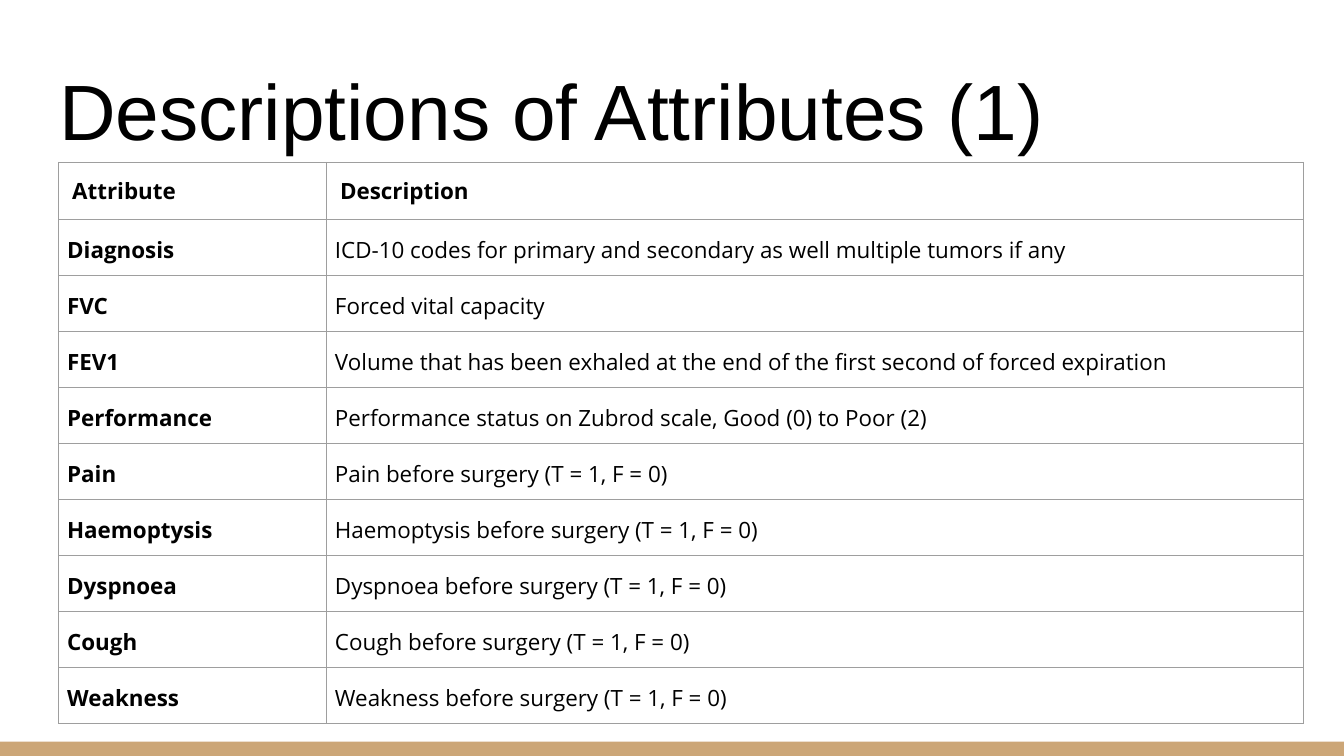
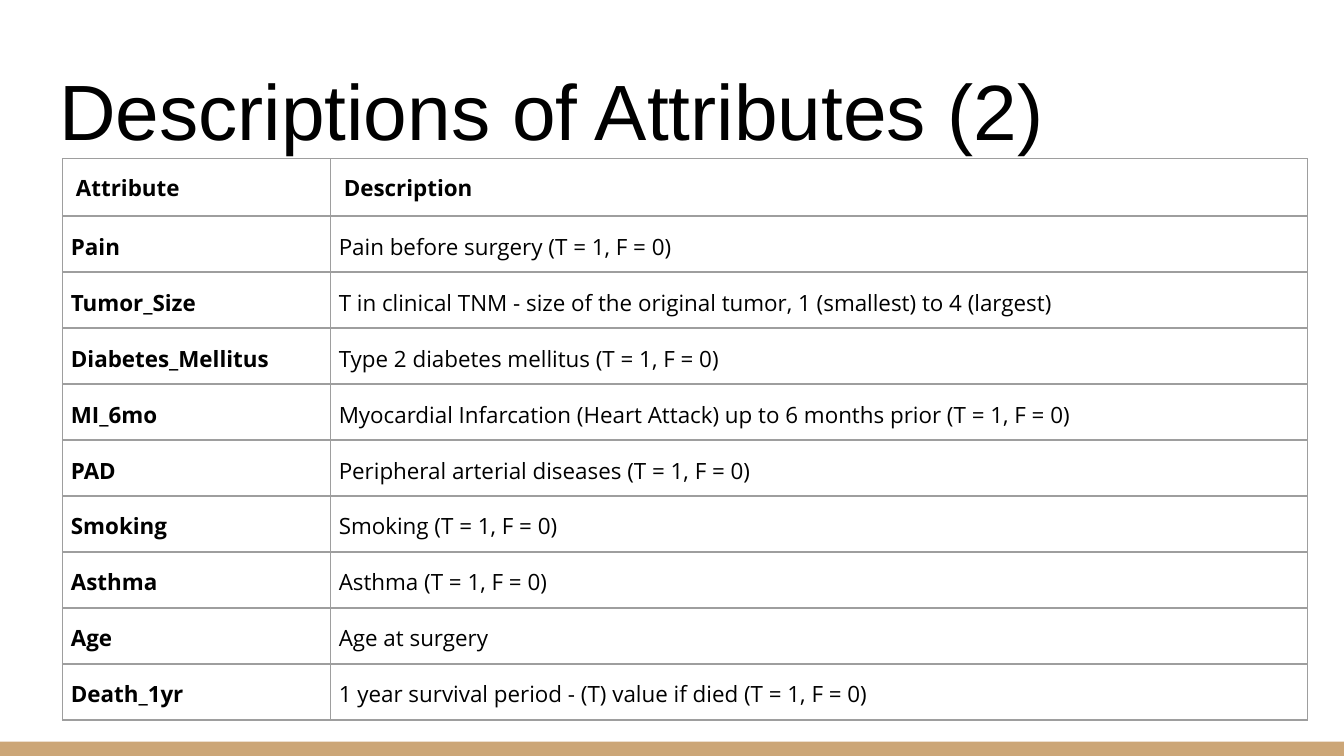
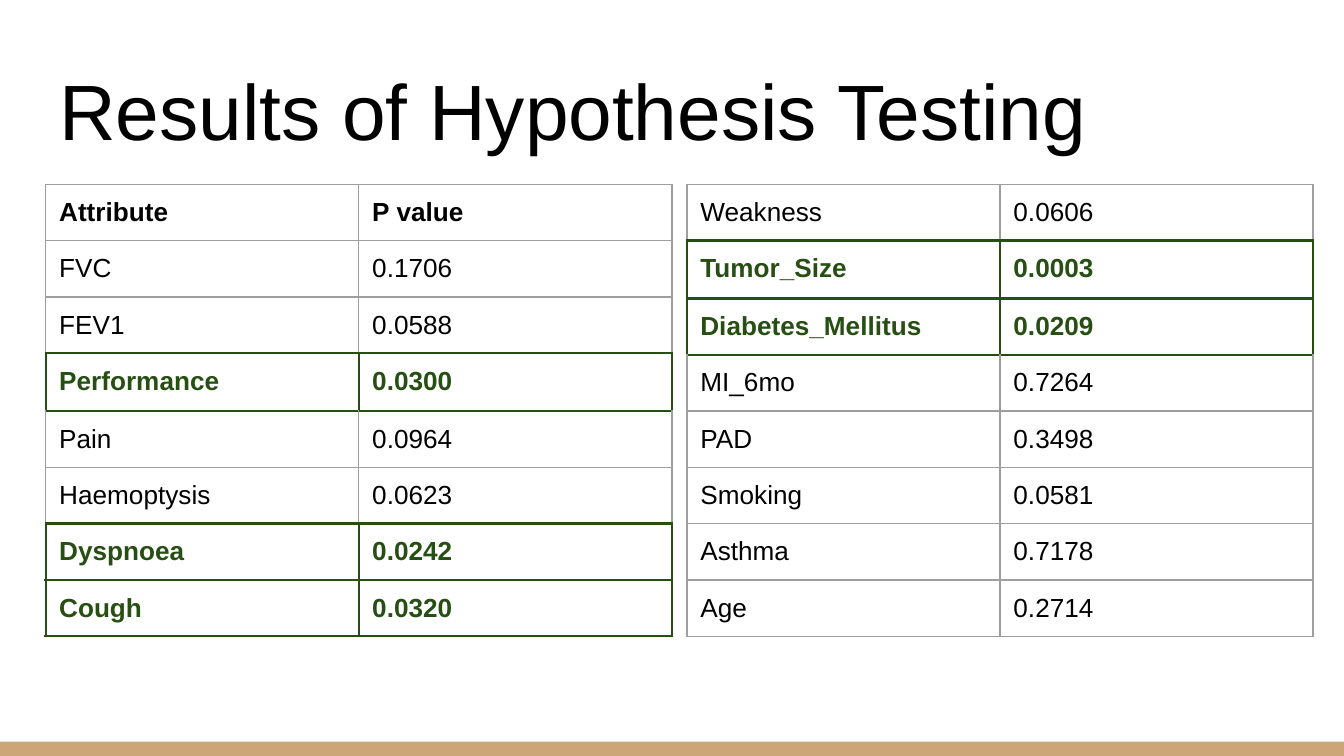
from lxml.etree import SubElement
from pptx import Presentation
from pptx.dml.color import RGBColor
from pptx.enum.shapes import MSO_SHAPE
from pptx.enum.text import MSO_ANCHOR, MSO_AUTO_SIZE, PP_ALIGN
from pptx.oxml.ns import qn
from pptx.util import Pt

BLACK = RGBColor(0x00, 0x00, 0x00)
WHITE = RGBColor(0xFF, 0xFF, 0xFF)
TAN = RGBColor(0xCC, 0xA6, 0x77)
GREY = RGBColor(0x9E, 0x9E, 0x9E)
GREEN = RGBColor(0x27, 0x4E, 0x13)
GRID_RULE = (GREY, 0.75)
SIGNIFICANT_RULE = (GREEN, 1.5)

SLIDE_WIDTH, SLIDE_HEIGHT = 720, 405
BAND_HEIGHT = 7.75
TITLE_BOX = (24.5, 25.25, 671, 65.5)
ROW_HEIGHT = 30
WIDE_INSET, NARROW_INSET = 7.2, 4.5
SIGNIFICANCE_LEVEL = 0.05

ATTRIBUTE_HEADER = ("Attribute", "Description")
ATTRIBUTES_1 = [
    ("Diagnosis", "ICD-10 codes for primary and secondary as well multiple tumors if any"),
    ("FVC", "Forced vital capacity"),
    ("FEV1", "Volume that has been exhaled at the end of the first second of forced expiration"),
    ("Performance", "Performance status on Zubrod scale, Good (0) to Poor (2)"),
    ("Pain", "Pain before surgery (T = 1, F = 0)"),
    ("Haemoptysis", "Haemoptysis before surgery (T = 1, F = 0)"),
    ("Dyspnoea", "Dyspnoea before surgery (T = 1, F = 0)"),
    ("Cough", "Cough before surgery (T = 1, F = 0)"),
    ("Weakness", "Weakness before surgery (T = 1, F = 0)"),
]
ATTRIBUTES_2 = [
    ("Pain", "Pain before surgery (T = 1, F = 0)"),
    ("Tumor_Size", "T in clinical TNM - size of the original tumor, 1 (smallest) to 4 (largest)"),
    ("Diabetes_Mellitus", "Type 2 diabetes mellitus (T = 1, F = 0)"),
    ("MI_6mo", "Myocardial Infarcation (Heart Attack) up to 6 months prior (T = 1, F = 0)"),
    ("PAD", "Peripheral arterial diseases (T = 1, F = 0)"),
    ("Smoking", "Smoking (T = 1, F = 0)"),
    ("Asthma", "Asthma (T = 1, F = 0)"),
    ("Age", "Age at surgery"),
    ("Death_1yr", "1 year survival period - (T) value if died (T = 1, F = 0)"),
]
P_VALUE_HEADER = ("Attribute", "P value")
P_VALUES_LEFT = [
    P_VALUE_HEADER,
    ("FVC", "0.1706"),
    ("FEV1", "0.0588"),
    ("Performance", "0.0300"),
    ("Pain", "0.0964"),
    ("Haemoptysis", "0.0623"),
    ("Dyspnoea", "0.0242"),
    ("Cough", "0.0320"),
]
P_VALUES_RIGHT = [
    ("Weakness", "0.0606"),
    ("Tumor_Size", "0.0003"),
    ("Diabetes_Mellitus", "0.0209"),
    ("MI_6mo", "0.7264"),
    ("PAD", "0.3498"),
    ("Smoking", "0.0581"),
    ("Asthma", "0.7178"),
    ("Age", "0.2714"),
]


def add_master_band(presentation, slide):
    """Draw the bottom band and move it to the master so every slide shows it."""
    band = slide.shapes.add_shape(
        MSO_SHAPE.RECTANGLE, 0, Pt(SLIDE_HEIGHT - BAND_HEIGHT), Pt(SLIDE_WIDTH), Pt(BAND_HEIGHT))
    band.shadow.inherit = False
    band.fill.solid()
    band.fill.fore_color.rgb = TAN
    band.line.fill.background()
    band.element.nvSpPr.cNvPr.set("id", "99")
    presentation.slide_master.shapes.element.insert(2, band.element)


def add_run(paragraph, text, font_name, size, color=BLACK, bold=False):
    """Append a formatted run."""
    run = paragraph.add_run()
    run.text = text
    run.font.name, run.font.size = font_name, Pt(size)
    run.font.bold, run.font.color.rgb = bold, color


def set_insets(target, inset):
    """Give a cell or text frame the same margin on all sides."""
    target.margin_left = target.margin_right = Pt(inset)
    target.margin_top = target.margin_bottom = Pt(inset)


def add_titled_slide(presentation, heading):
    """Add a title-only slide with its heading placed and formatted."""
    slide = presentation.slides.add_slide(presentation.slide_layouts[5])
    title = slide.shapes.title
    title.left, title.top, title.width, title.height = map(Pt, TITLE_BOX)
    frame = title.text_frame
    frame.word_wrap = True
    frame.auto_size = MSO_AUTO_SIZE.NONE
    frame.vertical_anchor = MSO_ANCHOR.BOTTOM
    set_insets(frame, WIDE_INSET)
    frame.paragraphs[0].alignment = PP_ALIGN.LEFT
    add_run(frame.paragraphs[0], heading, "Arial", 42)
    return slide


def add_plain_table(slide, left, top, column_widths, row_count):
    """Add a table without banding at the given corner."""
    table = slide.shapes.add_table(
        row_count, len(column_widths), Pt(left), Pt(top),
        Pt(sum(column_widths)), Pt(row_count * ROW_HEIGHT)).table
    table.first_row = table.horz_banding = False
    for column, width in zip(table.columns, column_widths):
        column.width = Pt(width)
    return table


def set_borders(cell, sides, top, bottom):
    """Draw cell borders from (colour, width) rules."""
    properties = cell._tc.get_or_add_tcPr()
    rules = (("a:lnL", sides), ("a:lnR", sides), ("a:lnT", top), ("a:lnB", bottom))
    for position, (tag, (color, width)) in enumerate(rules):
        border = SubElement(properties, qn(tag), w=str(Pt(width)))
        fill = SubElement(border, qn("a:solidFill"))
        SubElement(fill, qn("a:srgbClr"), val=str(color))
        properties.insert(position, border)


def add_attribute_table(slide, left, top, attributes):
    """Add the table that describes each attribute."""
    rows = [ATTRIBUTE_HEADER] + attributes
    table = add_plain_table(slide, left, top, (143.5, 523.5), len(rows))
    for r, row in enumerate(rows):
        for c, text in enumerate(row):
            cell = table.cell(r, c)
            cell.fill.background()
            set_borders(cell, GRID_RULE, GRID_RULE, GRID_RULE)
            set_insets(cell, NARROW_INSET if r else WIDE_INSET)
            paragraph = cell.text_frame.paragraphs[0]
            if r:
                cell.vertical_anchor = MSO_ANCHOR.MIDDLE
                paragraph.line_spacing = 1.15
            add_run(paragraph, text, "Open Sans", 12, bold=r == 0 or c == 0)


def add_p_value_table(slide, left, top, column_width, rows):
    """Add a table of p values with the significant rows outlined in green."""
    significant = [row != P_VALUE_HEADER and float(row[1]) < SIGNIFICANCE_LEVEL for row in rows]
    table = add_plain_table(slide, left, top, (column_width, column_width), len(rows))
    table.rows[significant.index(True)].height = Pt(ROW_HEIGHT + 1)
    for r, row in enumerate(rows):
        above, sides, below = (
            SIGNIFICANT_RULE if any(group) else GRID_RULE
            for group in (significant[max(r - 1, 0):r + 1], [significant[r]], significant[r:r + 2]))
        for c, text in enumerate(row):
            cell = table.cell(r, c)
            cell.fill.background()
            set_borders(cell, sides, above, below)
            set_insets(cell, WIDE_INSET)
            add_run(cell.text_frame.paragraphs[0], text, "Arial", 14,
                    GREEN if significant[r] else BLACK,
                    significant[r] or row == P_VALUE_HEADER)


def add_results(slide, left, top, column_width, gap):
    """Place the two p-value tables side by side."""
    for index, rows in enumerate((P_VALUES_LEFT, P_VALUES_RIGHT)):
        add_p_value_table(slide, left + index * (2 * column_width + gap), top, column_width, rows)


def main():
    """Build and save the three slides."""
    presentation = Presentation()
    presentation.slide_width, presentation.slide_height = Pt(SLIDE_WIDTH), Pt(SLIDE_HEIGHT)
    background = presentation.slide_master.background.fill
    background.solid()
    background.fore_color.rgb = WHITE

    first = add_titled_slide(presentation, "Descriptions of Attributes (1)")
    add_master_band(presentation, first)
    add_attribute_table(first, 31.5, 87, ATTRIBUTES_1)
    second = add_titled_slide(presentation, "Descriptions of Attributes (2)")
    add_attribute_table(second, 33.5, 85, ATTRIBUTES_2)
    results = add_titled_slide(presentation, "Results of Hypothesis Testing")
    add_results(results, 24.5, 98.75, 167.75, 8)
    presentation.save("out.pptx")


if __name__ == "__main__":
    main()
